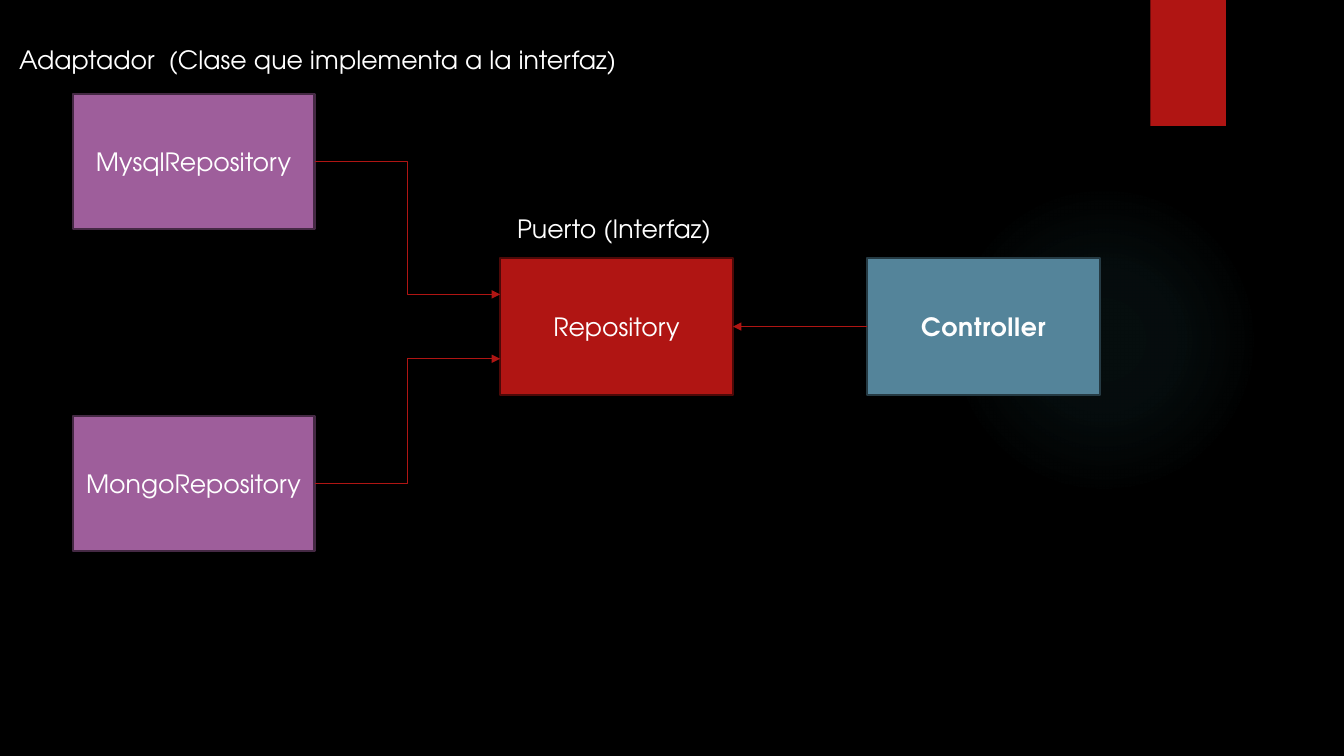
from lxml.etree import SubElement
from pptx import Presentation
from pptx.dml.color import RGBColor
from pptx.enum.shapes import MSO_CONNECTOR, MSO_SHAPE
from pptx.enum.text import MSO_ANCHOR, PP_ALIGN
from pptx.oxml import parse_xml
from pptx.oxml.ns import nsdecls, qn
from pptx.util import Inches, Pt

COLORS = {
    "black": "000000", "white": "FFFFFF", "soft_white": "FEFEFE",
    "red": "B01513", "dark_red": "4D0908",
    "purple": "9E5E9B", "dark_purple": "452944",
    "blue": "54849A", "dark_blue": "253A43", "glow": "50B9C1",
}


class DiagramPage:
    """Hold the style and the current slide of the diagram."""

    font = "TeX Gyre Adventor"
    size = Pt(18)

    def __init__(self, deck):
        """Add a blank black page to the deck."""
        self.page = deck.slides.add_slide(deck.slide_layouts[6])
        fill = self.page.background.fill
        fill.solid()
        fill.fore_color.rgb = self.color("black")

    def color(self, name):
        """Return the named colour."""
        return RGBColor.from_string(COLORS[name])

    def shape(self, kind, left, top, width, height):
        """Add a borderless preset shape without shadow."""
        shape = self.page.shapes.add_shape(
            kind, Inches(left), Inches(top), Inches(width), Inches(height))
        shape.shadow.inherit = False
        shape.line.fill.background()
        return shape

    def glow(self, left, top, diameter):
        """Add a faint round light that fades outwards."""
        circle = self.shape(MSO_SHAPE.OVAL, left, top, diameter, diameter)
        stops = "".join(
            f'<a:gs pos="{place * 1000}"><a:srgbClr val="{COLORS["glow"]}">'
            f'<a:alpha val="{alpha * 1000}"/></a:srgbClr></a:gs>'
            for place, alpha in ((0, 7), (36, 6), (69, 0), (100, 0)))
        gradient = parse_xml(
            f'<a:gradFill {nsdecls("a")} rotWithShape="1"><a:gsLst>{stops}</a:gsLst>'
            '<a:path path="circle"><a:fillToRect l="50000" t="50000" r="50000" b="50000"/>'
            '</a:path></a:gradFill>')
        circle.element.spPr.find(qn("a:prstGeom")).addnext(gradient)

    def ribbon(self, left, top, width, height):
        """Add the red tab with a soft shadow below it."""
        tab = self.shape(MSO_SHAPE.RECTANGLE, left, top, width, height)
        tab.fill.solid()
        tab.fill.fore_color.rgb = self.color("red")
        self.drop_shadow(tab.element.spPr.find(qn("a:effectLst")), "black", 3, 2, 45)

    def drop_shadow(self, effects, color, blur, distance, alpha):
        """Add a downward shadow to an effect list."""
        shadow = SubElement(effects, qn("a:outerShdw"), blurRad=str(Pt(blur)),
                            dist=str(Pt(distance)), dir="5400000", rotWithShape="0")
        tint = SubElement(shadow, qn("a:srgbClr"), val=COLORS[color])
        SubElement(tint, qn("a:alpha"), val=str(alpha * 1000))

    def add_span(self, para, text, color="white"):
        """Add one run in the diagram font."""
        span = para.add_run()
        span.text = text
        span.font.name = self.font
        span.font.size = self.size
        span.font.color.rgb = self.color(color)

    def box(self, text, left, top, width, height, fill, border, color="white"):
        """Add a bordered box with centred text."""
        box = self.shape(MSO_SHAPE.RECTANGLE, left, top, width, height)
        box.fill.solid()
        box.fill.fore_color.rgb = self.color(fill)
        box.line.color.rgb = self.color(border)
        box.line.width = Pt(1.5)
        box.text_frame.vertical_anchor = MSO_ANCHOR.MIDDLE
        para = box.text_frame.paragraphs[0]
        para.alignment = PP_ALIGN.CENTER
        self.add_span(para, text, color)
        return box

    def emphasize(self, box):
        """Make the text of a box bold, spaced, outlined and shadowed."""
        box.text_frame.paragraphs[0].runs[0].font.bold = True
        props = next(box.element.iter(qn("a:rPr")))
        props.set("spc", "50")
        props.insert(0, parse_xml(
            f'<a:ln {nsdecls("a")} w="{Pt(0.75)}"><a:solidFill>'
            f'<a:srgbClr val="{COLORS["red"]}"/></a:solidFill></a:ln>'))
        effects = parse_xml(f'<a:effectLst {nsdecls("a")}/>')
        self.drop_shadow(effects, "red", 0, 1, 60)
        props.find(qn("a:solidFill")).addnext(effects)

    def label(self, text, left, top, width, height):
        """Add a plain text label."""
        box = self.page.shapes.add_textbox(
            Inches(left), Inches(top), Inches(width), Inches(height))
        box.text_frame.word_wrap = True
        self.add_span(box.text_frame.paragraphs[0], text)

    def arrow(self, kind, start, end, source, side):
        """Add a red arrow that leaves the given side of a box."""
        arrow = self.page.shapes.add_connector(
            kind, *(Inches(value) for value in start + end))
        arrow.begin_connect(source, side)
        arrow.line.color.rgb = self.color("red")
        arrow.line.width = Pt(0.75)
        properties = arrow.element.spPr
        SubElement(properties.find(qn("a:ln")), qn("a:tailEnd"), type="triangle")
        SubElement(properties, qn("a:effectLst"))
        return arrow


def main():
    """Build and save the ports and adapters slide."""
    deck = Presentation()
    deck.slide_width, deck.slide_height = Inches(13.33), Inches(7.5)
    diagram = DiagramPage(deck)
    diagram.glow(9.41, 1.83, 3.08)
    diagram.ribbon(11.41, 0, 0.75, 1.25)

    controller = diagram.box(
        "Controller", 8.6, 2.56, 2.31, 1.36, "blue", "dark_blue", "soft_white")
    diagram.emphasize(controller)
    port = diagram.box("Repository", 4.96, 2.56, 2.31, 1.36, "red", "dark_red")
    call = diagram.arrow(MSO_CONNECTOR.STRAIGHT, (8.6, 3.24), (7.27, 3.24), controller, 1)
    call.end_connect(port, 3)

    for text, top, entry in (("MysqlRepository", 0.93, 2.92),
                             ("MongoRepository", 4.13, 3.56)):
        adapter = diagram.box(text, 0.72, top, 2.4, 1.34, "purple", "dark_purple")
        diagram.arrow(MSO_CONNECTOR.ELBOW, (3.12, top + 0.67), (4.96, entry), adapter, 3)

    diagram.label("Puerto (Interfaz)", 5.03, 2.07, 2.16, 0.4)
    diagram.label("Adaptador  (Clase que implementa a la interfaz)", 0.09, 0.39, 6.31, 0.4)
    deck.save("out.pptx")


if __name__ == "__main__":
    main()
